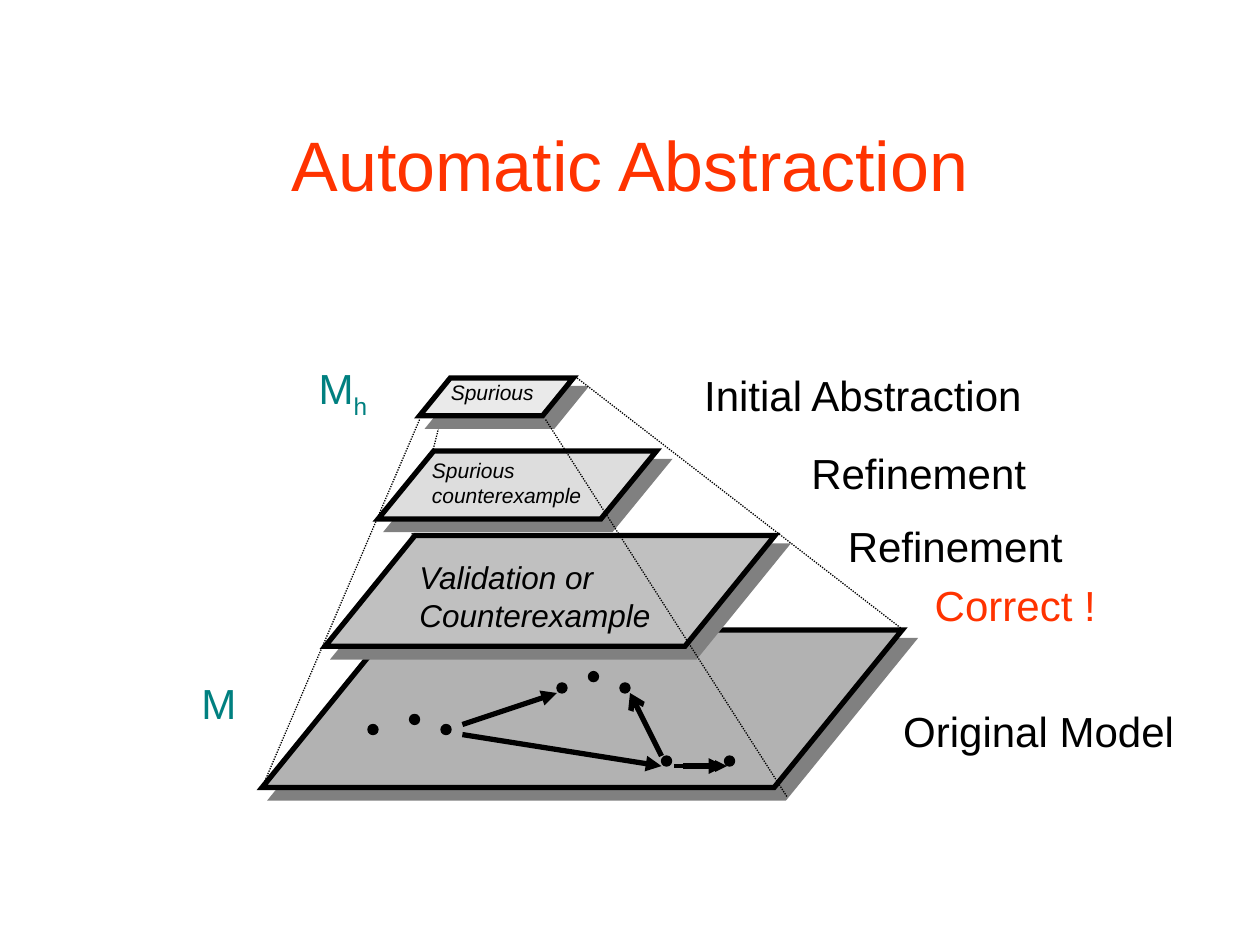
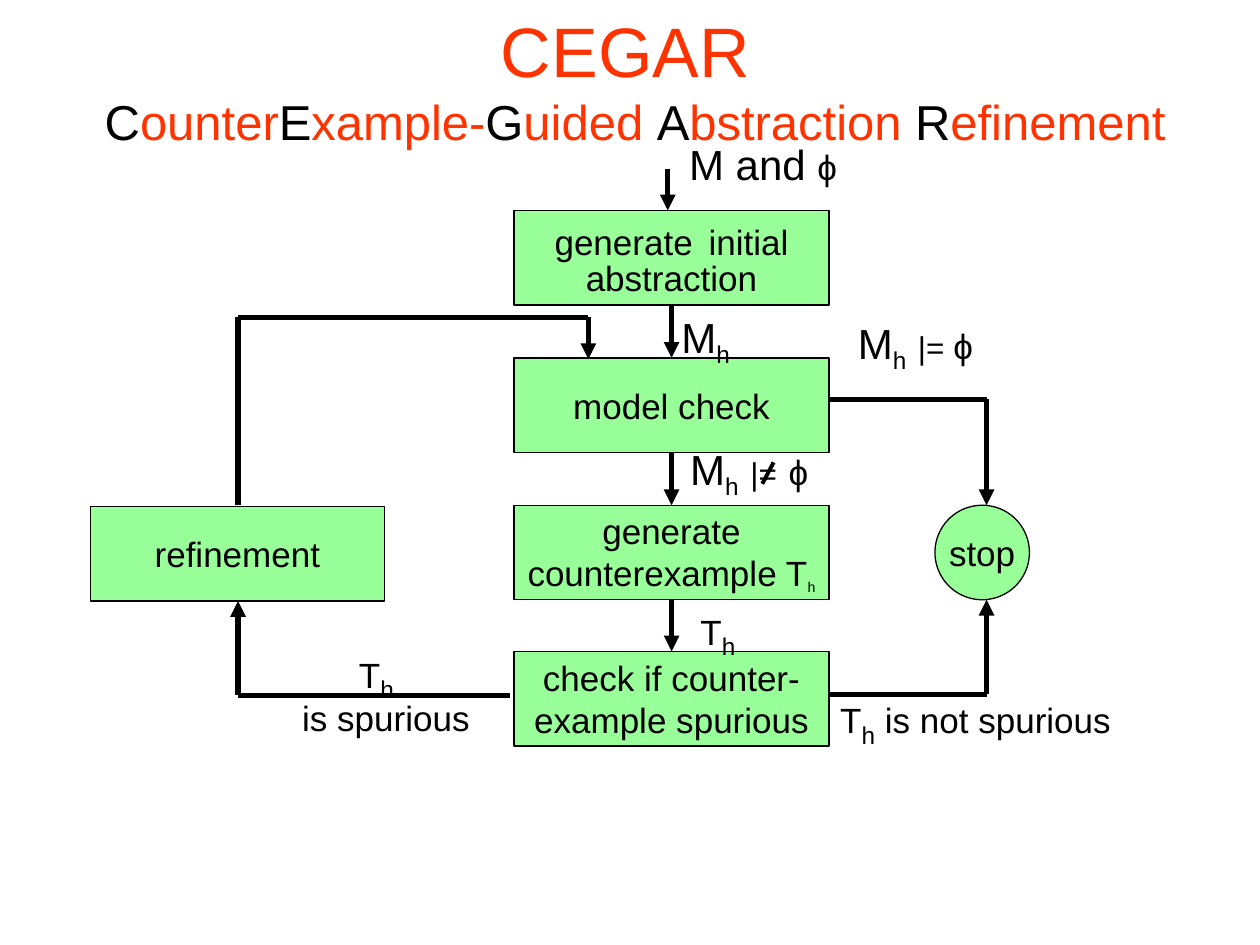
from lxml.etree import SubElement
from pptx import Presentation
from pptx.dml.color import RGBColor
from pptx.enum.dml import MSO_LINE
from pptx.enum.shapes import MSO_CONNECTOR, MSO_SHAPE
from pptx.enum.text import MSO_ANCHOR, MSO_AUTO_SIZE, PP_ALIGN
from pptx.oxml.ns import qn
from pptx.util import Pt

PX = 9144  # 100 px to the inch
INK, RED, TEAL, GREEN, SHADOW = "000000", "FF3300", "008080", "99FF99", "808080"
FONT = "Arial"
rgb = RGBColor.from_string


def write(shape, rows, colour=INK, align=PP_ALIGN.LEFT, italic=False):
    """Fill a shape with paragraphs of (text, size[, subscript]) spans."""
    frame = shape.text_frame
    for number, spans in enumerate(rows):
        para = frame.add_paragraph() if number else frame.paragraphs[0]
        para.alignment = align
        for text, size, *subscript in spans:
            span = para.add_run()
            span.text = text
            span.font.name, span.font.size = FONT, Pt(size)
            span.font.color.rgb = rgb(colour)
            span.font.italic = italic
            if subscript:
                span.font._element.set("baseline", "-25000")


def connect(page, ends, width=3, arrow=None, dash=None):
    """Draw a straight line, with an arrowhead at its end if one is named."""
    link = page.shapes.add_connector(MSO_CONNECTOR.STRAIGHT, *[end * PX for end in ends])
    link.line.color.rgb = rgb(INK)
    link.line.width = Pt(width)
    if dash:
        link.line.dash_style = dash
    if arrow:
        SubElement(link.line._get_or_add_ln(), qn("a:tailEnd"), type=arrow)
    SubElement(link._element.spPr, qn("a:effectLst"))


deck = Presentation()
deck.slide_width, deck.slide_height = 1000 * PX, 750 * PX
pyramid, cegar = [deck.slides.add_slide(deck.slide_layouts[6]) for _ in range(2)]

# Titles
subtitle = ["C", "ounter", "E", "xample-", "G", "uided ", "A", "bstraction ", "R", "efinement"]
titles = [
    (pyramid, (75, 67, 850, 125), [[("Automatic Abstraction", 40)]]),
    (cegar, (33, 0, 942, 125), [[("CEGAR ", 40)], [(part, 28) for part in subtitle]]),
]
for page, place, rows in titles:
    title = page.shapes.add_textbox(*[side * PX for side in place])
    title.text_frame.word_wrap = True
    title.text_frame.vertical_anchor = MSO_ANCHOR.MIDDLE
    write(title, rows, RED, PP_ALIGN.CENTER)
    for para in title.text_frame.paragraphs[1:]:
        for initial in para.runs[::2]:
            initial.font.color.rgb = rgb(INK)

# Pyramid: hidden edge, then the levels with sharp corners and hard shadows
connect(pyramid, (358, 300, 308, 500), 0.75, dash=MSO_LINE.ROUND_DOT)
levels = [
    (208, 500, 508, 125, "B2B2B2"),
    (300, 358, 221, 54, "DDDDDD"),
    (258, 425, 357, 88, "C0C0C0"),
    (333, 300, 122, 30, "EAEAEA"),
]
for *place, shade in levels:
    level = pyramid.shapes.add_shape(MSO_SHAPE.FLOWCHART_DATA, *[side * PX for side in place])
    level.fill.solid()
    level.fill.fore_color.rgb = rgb(shade)
    level.line.color.rgb = rgb(INK)
    level.line.width = Pt(3)
    SubElement(level.line._get_or_add_ln(), qn("a:miter"), lim="800000")
    level.shadow.inherit = False
    effects = level._element.spPr.find(qn("a:effectLst"))
    shadow = SubElement(effects, qn("a:outerShdw"), blurRad="0", dist=str(Pt(8.5)),
                        dir="2700000", algn="ctr", rotWithShape="0")
    SubElement(shadow, qn("a:srgbClr"), val=SHADOW)

# Pyramid: states and transitions of the model
states = [(350, 575), (325, 567), (292, 575), (442, 542), (467, 533), (492, 542),
          (525, 600), (575, 600)]
for left, top in states:
    state = pyramid.shapes.add_shape(MSO_SHAPE.OVAL, left * PX, top * PX, 8 * PX, 8 * PX)
    state.fill.solid()
    state.fill.fore_color.rgb = rgb(INK)
    state.line.color.rgb = rgb(INK)
    state.line.width = Pt(0.75)
    state.shadow.inherit = False
transitions = [
    ((535, 608, 577, 608), 2.25, "triangle"),
    ((367, 575, 442, 550), 3, "triangle"),
    ((525, 600, 500, 550), 3, "arrow"),
    ((542, 608, 575, 608), 3, "triangle"),
    ((367, 583, 525, 608), 3, "triangle"),
]
for ends, width, arrow in transitions:
    connect(pyramid, ends, width, arrow)

# Pyramid: visible edges
for ends in [(433, 333, 625, 633), (333, 333, 208, 625), (458, 300, 717, 500)]:
    connect(pyramid, ends, 0.75, dash=MSO_LINE.ROUND_DOT)

# CEGAR loop: steps
step_rows = [
    [[("generate", 20), (" ", 32), ("initial", 20)], [("abstraction", 20)]],
    [[("model check", 20)]],
    [[("generate", 20)], [("counterexample T", 20), ("h", 14, True)]],
    [[("check if counter-", 20)], [("example spurious", 20)]],
]
step_tops = [167, 284, 401, 517]
nodes = [(MSO_SHAPE.RECTANGLE, (408, top, 250, 75), rows)
         for top, rows in zip(step_tops, step_rows)]
nodes += [
    (MSO_SHAPE.RECTANGLE, (72, 402, 233, 75), [[("refinement", 20)]]),
    (MSO_SHAPE.OVAL, (742, 401, 75, 75), [[("stop", 20)]]),
]
for kind, place, rows in nodes:
    node = cegar.shapes.add_shape(kind, *[side * PX for side in place])
    node.fill.solid()
    node.fill.fore_color.rgb = rgb(GREEN)
    node.line.color.rgb = rgb(INK)
    node.line.width = Pt(0.75)
    node.shadow.inherit = False
    node.text_frame.word_wrap = False
    node.text_frame.vertical_anchor = MSO_ANCHOR.MIDDLE
    write(node, rows, align=PP_ALIGN.CENTER)
    if place[1] == step_tops[0]:
        for para, spacing in zip(node.text_frame.paragraphs, (0.7, 0.8)):
            para.line_spacing = spacing

# CEGAR loop: arrows down the steps, then the side branches
connect(cegar, (530, 134, 530, 167), arrow="triangle")
for top in step_tops[1:]:
    connect(cegar, (533, top - 42, 533, top), arrow="triangle")
branches = [
    [(658, 317), (783, 317), (783, 401)],
    [(658, 551), (783, 551), (783, 476)],
    [(405, 552), (189, 552), (189, 477)],
    [(189, 401), (189, 252), (467, 252), (467, 285)],
]
for corners in branches:
    for start, end in zip(corners, corners[1:]):
        connect(cegar, start + end, arrow="triangle" if end == corners[-1] else None)

# Labels
model_h = [("M", 24), ("h", 24, True)]
trace_h = [("T", 20), ("h", 24, True)]
labels = [
    (pyramid, (150, 533, 48, 50), TEAL, False, [[("M", 24)]]),
    (pyramid, (243, 283, 59, 56), TEAL, False, [model_h]),
    (pyramid, (549, 288, 274, 50), INK, False, [[("Initial Abstraction", 24)]]),
    (pyramid, (634, 350, 191, 50), INK, False, [[("Refinement", 24)]]),
    (pyramid, (663, 408, 191, 50), INK, False, [[("Refinement", 24)]]),
    (pyramid, (732, 455, 148, 50), RED, False, [[("Correct !", 24)]]),
    (pyramid, (707, 555, 235, 50), INK, False, [[("Original Model", 24)]]),
    (pyramid, (348, 296, 86, 30), INK, True, [[("Spurious", 12)]]),
    (pyramid, (333, 358, 139, 50), INK, True, [[("Spurious", 12)], [("counterexample", 12)]]),
    (pyramid, (323, 438, 204, 70), INK, True, [[("Validation or", 18)], [("Counterexample", 18)]]),
    (cegar, (537, 105, 148, 50), INK, False, [[("M and ", 24), ("ϕ", 20), (" ", 24)]]),
    (cegar, (531, 242, 59, 56), INK, False, [model_h]),
    (cegar, (671, 247, 113, 56), INK, False,
     [model_h + [(" ", 24), ("|= ", 18), ("ϕ", 20)]]),
    (cegar, (538, 347, 116, 56), INK, False,
     [model_h + [(" ", 24), ("|=", 18), (" ", 24), ("ϕ", 20)]]),
    (cegar, (546, 474, 48, 56), INK, False, [trace_h]),
    (cegar, (275, 508, 48, 56), INK, False, [trace_h]),
    (cegar, (230, 548, 153, 44), INK, False, [[("is spurious", 20)]]),
    (cegar, (657, 544, 235, 56), INK, False, [trace_h + [(" is not spurious", 20)]]),
]
for page, place, colour, italic, rows in labels:
    label = page.shapes.add_textbox(*[side * PX for side in place])
    label.text_frame.word_wrap = False
    label.text_frame.auto_size = MSO_AUTO_SIZE.SHAPE_TO_FIT_TEXT
    write(label, rows, colour, italic=italic)

# Stroke that turns "models" into "does not model"
connect(cegar, (614, 367, 605, 384), 2.25)

deck.save("out.pptx")
